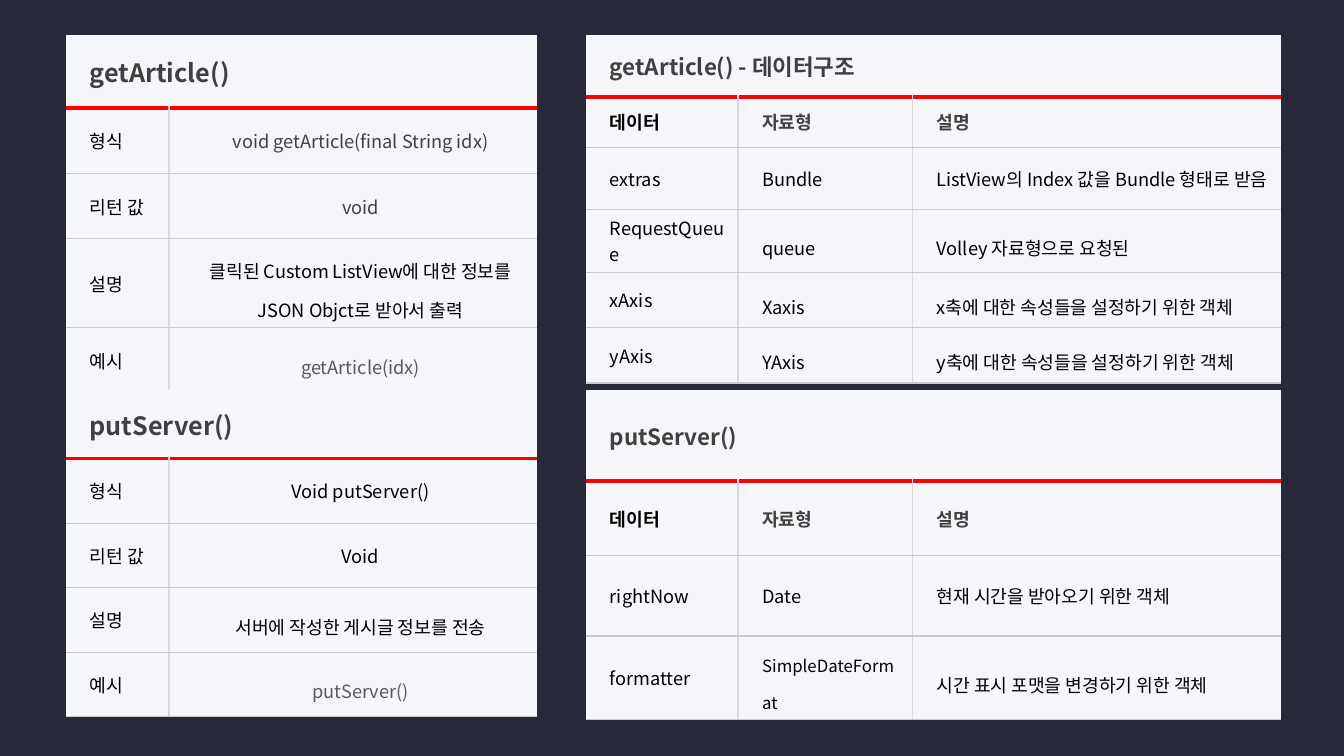
from dataclasses import dataclass

from lxml import etree
from pptx import Presentation
from pptx.dml.color import RGBColor
from pptx.enum.text import MSO_ANCHOR, PP_ALIGN
from pptx.oxml.ns import qn
from pptx.util import Pt

EMU_PER_PX = 9144
MIDDLE = MSO_ANCHOR.MIDDLE
LEFT = PP_ALIGN.LEFT
CENTER = PP_ALIGN.CENTER
PLAIN_TABLE_STYLE = "{2D5ABB26-0587-4C30-8999-92F81FD0307C}"


@dataclass(frozen=True)
class Theme:
    font: str = "Noto Sans CJK KR"
    background: str = "272938"
    panel: str = "F5F6F9"
    accent: str = "FF0000"
    row_line: str = "CACACA"
    column_line: str = "D9D9D9"
    black: str = "000000"
    dark: str = "404040"
    muted: str = "595959"
    method_title: int = 18
    data_title: int = 16
    body: int = 13
    small: int = 12


THEME = Theme()


@dataclass(frozen=True)
class Entry:
    text: str
    color: str = THEME.black
    size: int = THEME.body
    bold: bool = False
    spacing: float = 1.0


def px(length):
    return round(length * EMU_PER_PX)


def loose(text, color=THEME.black):
    return Entry(text, color, spacing=1.5)


def add_border(cell, side, color, width):
    line = etree.Element(qn(f"a:ln{side}"), w=str(Pt(width)))
    fill = etree.SubElement(line, qn("a:solidFill"))
    etree.SubElement(fill, qn("a:srgbClr"), val=color)
    properties = cell._tc.get_or_add_tcPr()
    position = len(properties.findall("*")) - 1
    properties.insert(position, line)


def add_cell_borders(cell, row, column, last_column):
    if row > 0:
        if column > 0:
            add_border(cell, "L", THEME.column_line, 1.5)
        if column < last_column:
            add_border(cell, "R", THEME.column_line, 1.5)
        if row == 1:
            add_border(cell, "T", THEME.accent, 3)
        else:
            add_border(cell, "T", THEME.row_line, 1)
    if row == 0:
        add_border(cell, "B", THEME.accent, 3)
    else:
        add_border(cell, "B", THEME.row_line, 1)


def write_cell(cell, entry, alignment):
    cell.text_frame.text = entry.text
    for paragraph in cell.text_frame.paragraphs:
        paragraph.alignment = alignment
        paragraph.line_spacing = entry.spacing
        for run in paragraph.runs:
            run.font.size = Pt(entry.size)
            run.font.bold = entry.bold
            run.font.color.rgb = RGBColor.from_string(entry.color)
            run.font.name = THEME.font
            etree.SubElement(run.font._element, qn("a:ea"), typeface=THEME.font)


def add_panel(slide, left, top, widths, heights, title, rows, value_alignment):
    frame = slide.shapes.add_table(
        len(heights), len(widths), px(left), px(top), px(sum(widths)), px(sum(heights))
    )
    table = frame.table
    table.first_row = table.horz_banding = False
    table._tbl.tblPr.find(qn("a:tableStyleId")).text = PLAIN_TABLE_STYLE
    for column, width in zip(table.columns, widths):
        column.width = px(width)
    for row, height in zip(table.rows, heights):
        row.height = px(height)
    last_column = len(widths) - 1
    for row in range(len(heights)):
        for column in range(len(widths)):
            cell = table.cell(row, column)
            cell.fill.solid()
            cell.fill.fore_color.rgb = RGBColor.from_string(THEME.panel)
            cell.vertical_anchor = MIDDLE
            cell.margin_left, cell.margin_right = px(24), px(10)
            cell.margin_top = cell.margin_bottom = px(5)
            add_cell_borders(cell, row, column, last_column)
            if row > 0:
                alignment = value_alignment if column > 0 else LEFT
                write_cell(cell, rows[row - 1][column], alignment)
    table.cell(0, 0).merge(table.cell(0, last_column))
    write_cell(table.cell(0, 0), title, LEFT)


def add_method_panel(slide, top, heights, name, values):
    labels = ("형식", "리턴 값", "설명", "예시")
    rows = [(Entry(label), value) for label, value in zip(labels, values)]
    title = Entry(name, THEME.dark, THEME.method_title, True)
    add_panel(slide, 65, top, (103, 365), heights, title, rows, CENTER)


def add_data_panel(slide, top, heights, name, records):
    headings = (
        Entry("데이터", bold=True),
        Entry("자료형", THEME.dark, bold=True),
        Entry("설명", THEME.dark, bold=True),
    )
    title = Entry(name, THEME.dark, THEME.data_title, True)
    rows = [headings, *records]
    add_panel(slide, 581, top, (151, 173, 366), heights, title, rows, LEFT)


def main():
    presentation = Presentation()
    presentation.slide_width = px(1333)
    presentation.slide_height = px(750)
    slide = presentation.slides.add_slide(presentation.slide_layouts[6])
    slide.background.fill.solid()
    slide.background.fill.fore_color.rgb = RGBColor.from_string(THEME.background)

    upper, lower = 35, 387
    add_method_panel(slide, upper, (72, 65, 65, 65, 65), "getArticle()", (
        Entry("void getArticle(final String idx)", THEME.dark),
        Entry("void", THEME.dark),
        loose("클릭된 Custom ListView에 대한 정보를\nJSON Objct로 받아서 출력"),
        loose("getArticle(idx)", THEME.muted),
    ))
    add_data_panel(slide, upper, (61, 50, 55, 55, 55, 55), "getArticle() - 데이터구조", (
        (Entry("extras"), Entry("Bundle"), Entry("ListView의 Index 값을 Bundle 형태로 받음")),
        (Entry("RequestQueue"), loose("queue"), loose("Volley 자료형으로 요청된")),
        (Entry("xAxis"), loose("Xaxis"), loose("x축에 대한 속성들을 설정하기 위한 객체")),
        (Entry("yAxis"), loose("YAxis"), loose("y축에 대한 속성들을 설정하기 위한 객체")),
    ))
    add_method_panel(slide, lower, (68, 64, 64, 64, 64), "putServer()", (
        Entry("Void putServer()"),
        Entry("Void"),
        loose("서버에 작성한 게시글 정보를 전송"),
        loose("putServer()", THEME.muted),
    ))
    add_data_panel(slide, lower, (90, 74, 80, 80), "putServer()", (
        (Entry("rightNow"), Entry("Date"), Entry("현재 시간을 받아오기 위한 객체")),
        (
            Entry("formatter"),
            Entry("SimpleDateFormat", size=THEME.small, spacing=1.5),
            loose("시간 표시 포맷을 변경하기 위한 객체"),
        ),
    ))
    presentation.save("out.pptx")


if __name__ == "__main__":
    main()
